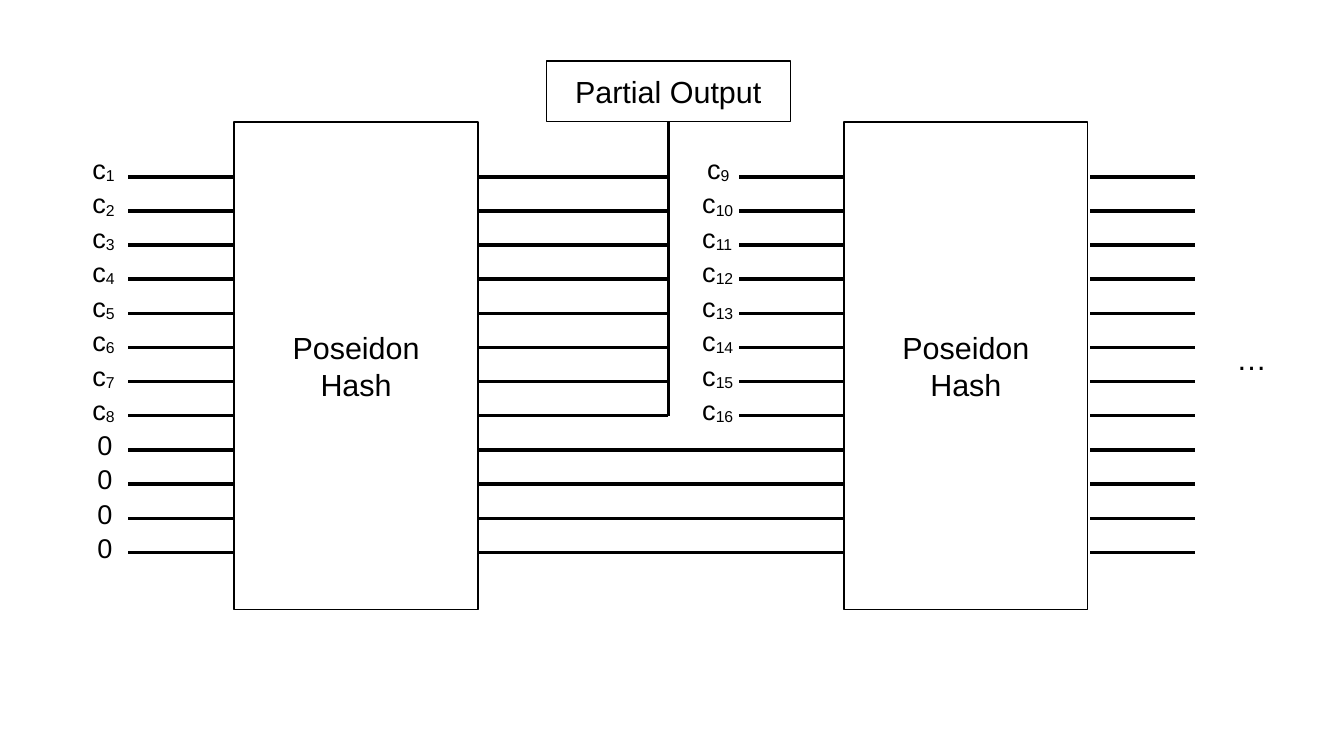
import pptx
import pptx.util
import pptx.dml.color
import pptx.enum.shapes
import pptx.enum.text
from lxml import etree
from pptx.util import Inches

BLACK = pptx.dml.color.RGBColor(0, 0, 0)
MIDDLE = pptx.enum.text.MSO_ANCHOR.MIDDLE
CENTER = pptx.enum.text.PP_ALIGN.CENTER
A_NS = "http://schemas.openxmlformats.org/drawingml/2006/main"

prs = pptx.Presentation()
prs.slide_width = Inches(11.02)
prs.slide_height = Inches(6.2)
s = prs.slides.add_slide(prs.slide_layouts[6])


def add_text(text, left, top, width, height, size=18, sub="", boxed=False):
    """Text box, or a centred outlined box, with an optional subscript."""
    at = [Inches(v) for v in (left, top, width, height)]
    if boxed:
        sp = s.shapes.add_shape(pptx.enum.shapes.MSO_SHAPE.RECTANGLE, *at)
        sp.shadow.inherit = False
        sp.fill.background()
        sp.line.color.rgb = BLACK
        sp.line.width = 0
    else:
        sp = s.shapes.add_textbox(*at)
    tf = sp.text_frame
    tf.word_wrap = True
    if boxed:
        tf.vertical_anchor = MIDDLE
    tf.text = text
    if sub:
        r = tf.paragraphs[0].add_run()
        r.text = sub
        r.font._element.set("baseline", "-8000")
    for p in tf.paragraphs:
        if boxed:
            p.alignment = CENTER
        for r in p.runs:
            r.font.name = "Arial"
            r.font.size = pptx.util.Pt(size)
            r.font.color.rgb = BLACK
    return sp


def add_line(x1, y1, x2, y2):
    c = s.shapes.add_connector(pptx.enum.shapes.MSO_CONNECTOR.STRAIGHT,
                               Inches(x1), Inches(y1), Inches(x2), Inches(y2))
    c.line.color.rgb = BLACK
    c.line.width = 0
    etree.SubElement(c._element.spPr, f"{{{A_NS}}}effectLst")
    return c


# Hash blocks and output box
for left in (1.92, 6.92):
    add_text("Poseidon\nHash", left, 1, 2, 4, boxed=True)
output = add_text("Partial Output", 4.48, 0.5, 2, 0.5, boxed=True)

# Wires: the first 8 feed the output, the last 4 carry on to the next block
RATE, STATE = 8, 12
WIRE_TOP, WIRE_STEP = 1.45, 0.28
BUS_X = 5.48
for i in range(STATE):
    y = WIRE_TOP + WIRE_STEP * i
    add_line(1.05, y, 1.93, y)
    add_line(8.94, y, 9.8, y)
    if i < RATE:
        add_line(3.92, y, BUS_X, y)
        add_line(6.06, y, 6.93, y)
    else:
        add_line(3.92, y, 6.93, y)

# Vertical bus into the output box
bus = add_line(BUS_X, 1, BUS_X, WIRE_TOP + WIRE_STEP * (RATE - 1))
bus.begin_connect(output, 2)

# Input labels
LABEL_TOP, LABEL_STEP = 1.2, 3.11 / 11
for i in range(STATE):
    y = LABEL_TOP + LABEL_STEP * i
    if i < RATE:
        add_text("c", 0.66, y, 0.5, 0.35, size=16, sub=str(i + 1))
        add_text("c", 5.66 if i else 5.7, y, 0.5, 0.35, size=16, sub=str(i + 1 + RATE))
    else:
        add_text("0", 0.7, y, 0.5, 0.35, size=16)

# Continuation
add_text("…", 10.04, 2.74, 0.8, 0.66)

prs.save("out.pptx")
